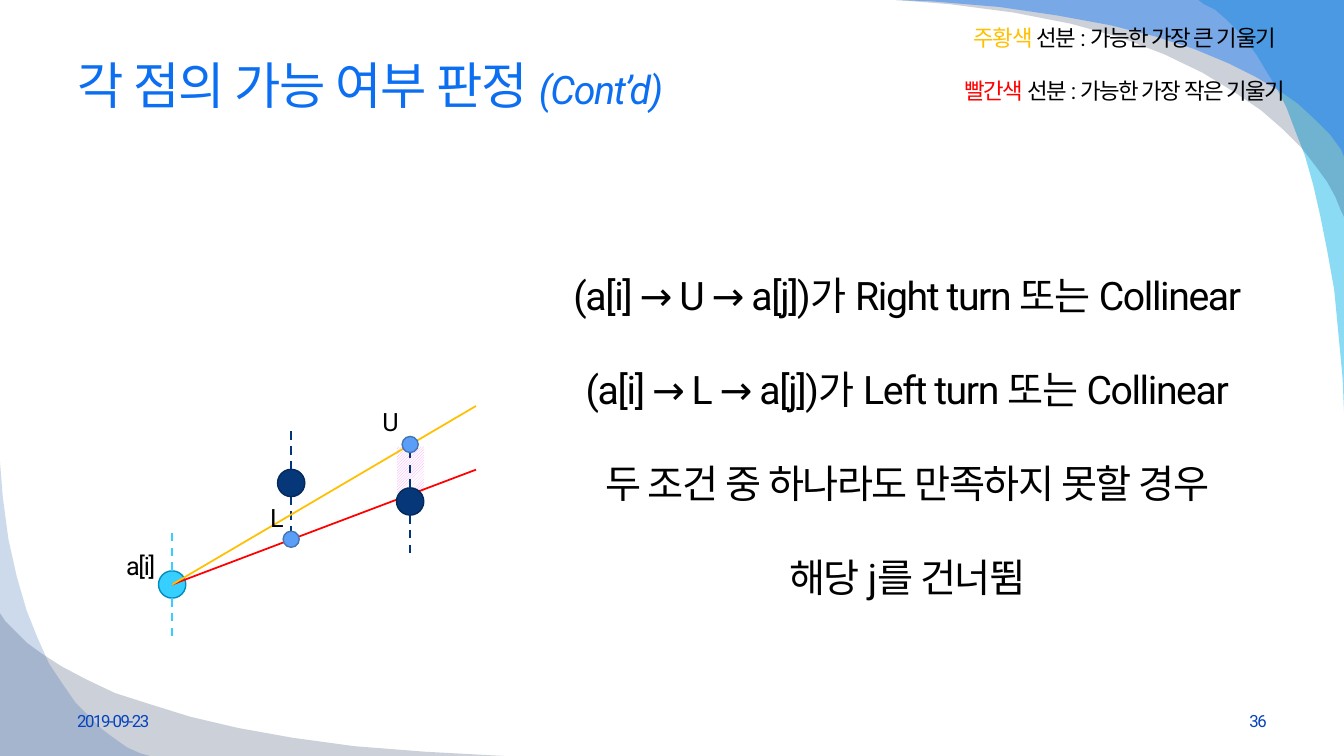
from lxml.etree import SubElement
from pptx import Presentation
from pptx.dml.color import RGBColor
from pptx.enum.dml import MSO_LINE, MSO_PATTERN
from pptx.enum.shapes import MSO_CONNECTOR, MSO_SHAPE
from pptx.enum.text import MSO_ANCHOR, PP_ALIGN
from pptx.oxml.ns import qn
from pptx.util import Pt

FONT = "Roboto"
BLACK = RGBColor(0x00, 0x00, 0x00)
WHITE = RGBColor(0xFF, 0xFF, 0xFF)
TITLE_BLUE = RGBColor(0x0C, 0x6F, 0xF2)
FOOTER_BLUE = RGBColor(0x07, 0x43, 0xBC)
ORANGE = RGBColor(0xFF, 0xC0, 0x00)
RED = RGBColor(0xFF, 0x00, 0x00)
PINK = RGBColor(0xFC, 0x9A, 0xFC)
CYAN = RGBColor(0x37, 0xCF, 0xFF)
CYAN_EDGE = RGBColor(0x00, 0x8D, 0xBB)
NAVY = RGBColor(0x06, 0x38, 0x79)
NAVY_EDGE = RGBColor(0x04, 0x29, 0x5A)
NAVY_DASH = RGBColor(0x03, 0x36, 0x79)
DOT = RGBColor(0x5B, 0x9E, 0xF7)
DOT_EDGE = RGBColor(0x43, 0x75, 0xB7)
WAVE_CYAN = RGBColor(0x00, 0xB1, 0xE9)
WAVE_DARK = RGBColor(0x02, 0x17, 0x41)
WAVE_BLUE = RGBColor(0x24, 0x7F, 0xF4)
WAVE_DEEP = RGBColor(0x08, 0x4A, 0xA1)

# Colour, opacity in percent, outline in points
TOP_WAVES = [
    (WAVE_CYAN, 45, [
        (960, 294), (960, 0), (856, 0), (860, 3), (868, 7), (876, 14), (884, 22),
        (891, 30), (898, 40), (904, 50), (912, 63), (919, 77), (925, 93), (932, 111),
        (938, 132), (943, 154), (948, 179), (953, 207), (956, 238), (959, 270)]),
    (WAVE_DARK, 20, [
        (640, 0), (960, 0), (960, 155), (958, 151), (954, 141), (948, 130), (940, 119),
        (930, 106), (917, 93), (901, 79), (882, 66), (859, 52), (832, 39), (801, 27),
        (765, 17), (724, 9), (678, 3)]),
    (WAVE_BLUE, 49, [
        (640, 0), (960, 0), (960, 112), (958, 107), (950, 96), (940, 86), (927, 74),
        (914, 65), (897, 55), (877, 45), (853, 35), (825, 26), (793, 18), (755, 11),
        (714, 5), (666, 1)]),
]
BOTTOM_WAVES = [
    (WAVE_DARK, 20, [
        (360, 540), (0, 540), (0, 438), (4, 444), (12, 452), (19, 459), (30, 467),
        (44, 476), (61, 485), (82, 495), (107, 503), (136, 512), (170, 520),
        (209, 527), (253, 533), (304, 537)]),
    (WAVE_DEEP, 20, [
        (0, 330), (0, 540), (107, 540), (100, 538), (91, 534), (81, 527), (73, 521),
        (64, 512), (54, 502), (45, 489), (35, 474), (27, 456), (19, 436), (12, 412),
        (6, 385), (2, 355)]),
]


def add_waves(s, waves):
    for color, opacity, points in waves:
        builder = s.shapes.build_freeform(*points[0], scale=Pt(1))
        builder.add_line_segments(points[1:], close=True)
        sp = builder.convert_to_shape()
        sp.shadow.inherit = False
        sp.line.fill.background()
        sp.fill.solid()
        sp.fill.fore_color.rgb = color
        clr = sp.fill._xPr.find(".//" + qn("a:srgbClr"))
        SubElement(clr, qn("a:alpha"), val=str(opacity * 1000))


def add_text(s, box, paragraphs, size, color, align=PP_ALIGN.LEFT, spacing=None, wrap=True):
    """Each paragraph is a list of (text, overrides) runs."""
    tf = s.shapes.add_textbox(*map(Pt, box)).text_frame
    tf.word_wrap = wrap
    tf.vertical_anchor = MSO_ANCHOR.MIDDLE
    for i, runs in enumerate(paragraphs):
        p = tf.add_paragraph() if i else tf.paragraphs[0]
        p.alignment = align
        p.line_spacing = spacing
        for text, style in runs:
            r = p.add_run()
            r.text = text
            r.font.size = Pt(style.get("size", size))
            r.font.italic = style.get("italic")
            r.font.color.rgb = style.get("color", color)
            r.font.name = FONT
            rPr = r.font._element
            rPr.set("spc", "-100")
            SubElement(rPr, qn("a:ea"), typeface=FONT)


def add_line(s, start, end, color, width, dash=None):
    line = s.shapes.add_connector(MSO_CONNECTOR.STRAIGHT, *map(Pt, (*start, *end)))
    line.line.color.rgb = color
    line.line.width = Pt(width)
    line.line.dash_style = dash
    SubElement(line._element.spPr, qn("a:effectLst"))


def add_circle(s, center, diameter, fill, edge):
    x, y = center
    sp = s.shapes.add_shape(MSO_SHAPE.OVAL, Pt(x - diameter / 2), Pt(y - diameter / 2),
                            Pt(diameter), Pt(diameter))
    sp.shadow.inherit = False
    sp.fill.solid()
    sp.fill.fore_color.rgb = fill
    sp.line.color.rgb = edge
    sp.line.width = Pt(1)


def add_point(s, center, fill, edge, dash_color):
    """A circle with a dashed stub above and below it."""
    x, y = center
    radius, reach = 9.75, 39
    add_circle(s, center, 2 * radius, fill, edge)
    for side in (-1, 1):
        add_line(s, (x, y + side * radius), (x, y + side * reach), dash_color, 1.5,
                 MSO_LINE.DASH)


def add_hatch(s, box):
    sp = s.shapes.add_shape(MSO_SHAPE.RECTANGLE, *map(Pt, box))
    sp.shadow.inherit = False
    sp.line.fill.background()
    sp.fill.patterned()
    sp.fill.pattern = MSO_PATTERN.LIGHT_UPWARD_DIAGONAL
    sp.fill.fore_color.rgb = PINK
    sp.fill.back_color.rgb = WHITE


def add_slope_diagram(s, box):
    left, top, width, height = box
    step = 85
    x0, x1, x2 = (left + i * step for i in range(3))
    origin = (x0, top + 127.5)
    upper, lower = (x2, top + 27.5), (x1, top + 95.2)

    add_hatch(s, (x2 - 9.5, top + 29, 19.5, 33))
    add_point(s, origin, CYAN, CYAN_EDGE, CYAN)
    add_line(s, origin, (left + width, top + 45.5), RED, 1.25)
    for center in ((x1, top + 55), (x2, top + 68.2)):
        add_point(s, center, NAVY, NAVY_EDGE, NAVY_DASH)
    add_line(s, origin, (left + width, top), ORANGE, 1.25)
    for text, x, y in (("U", x2 - 14, upper[1] - 16.5), ("a[i]", x0 - 22.5, origin[1] - 13.5),
                       ("L", x1 - 10.3, lower[1] - 15.8)):
        add_text(s, (x - 17.5, y - 14.5, 35, 29), [[(text, {})]], 18, BLACK,
                 PP_ALIGN.CENTER, wrap=False)
    for center in (upper, lower):
        add_circle(s, center, 11.5, DOT, DOT_EDGE)


def add_title(s, box):
    add_text(s, box, [[("각 점의 가능 여부 판정 ", {}),
                       ("(Cont’d)", {"size": 28, "italic": True})]], 36, TITLE_BLUE)


def add_footer(s, box):
    left, top, width, height = box
    part = 224
    add_text(s, (left, top, part, height), [[("2019-09-23", {})]], 12, FOOTER_BLUE)
    add_text(s, (left + width - part, top, part, height), [[("36", {})]], 12, FOOTER_BLUE,
             PP_ALIGN.RIGHT)


def add_conditions(s, box):
    lines = ["(a[i] → U → a[j])가 Right turn 또는 Collinear",
             "(a[i] → L → a[j])가 Left turn 또는 Collinear",
             "두 조건 중 하나라도 만족하지 못할 경우",
             "해당 j를 건너뜀"]
    add_text(s, box, [[(line, {})] for line in lines], 28, BLACK, PP_ALIGN.CENTER, 2.0)


def add_legend(s, box):
    entries = [("주황색", ORANGE, " 선분 : 가능한 가장 큰 기울기"),
               ("빨간색", RED, " 선분 : 가능한 가장 작은 기울기")]
    add_text(s, box, [[(name, {"color": color}), (meaning, {})]
                      for name, color, meaning in entries], 16, BLACK, PP_ALIGN.CENTER, 2.0)


def main():
    prs = Presentation()
    prs.slide_width, prs.slide_height = Pt(960), Pt(540)
    s = prs.slides.add_slide(prs.slide_layouts[6])
    add_waves(s, TOP_WAVES + BOTTOM_WAVES)
    add_title(s, (48, 24, 864, 72.5))
    add_footer(s, (48, 500.5, 864, 28.75))
    add_slope_diagram(s, (123, 290, 217, 167))
    add_conditions(s, (384, 106.5, 528, 376))
    add_legend(s, (646.5, 0, 314, 72.5))
    prs.save("out.pptx")


if __name__ == "__main__":
    main()
